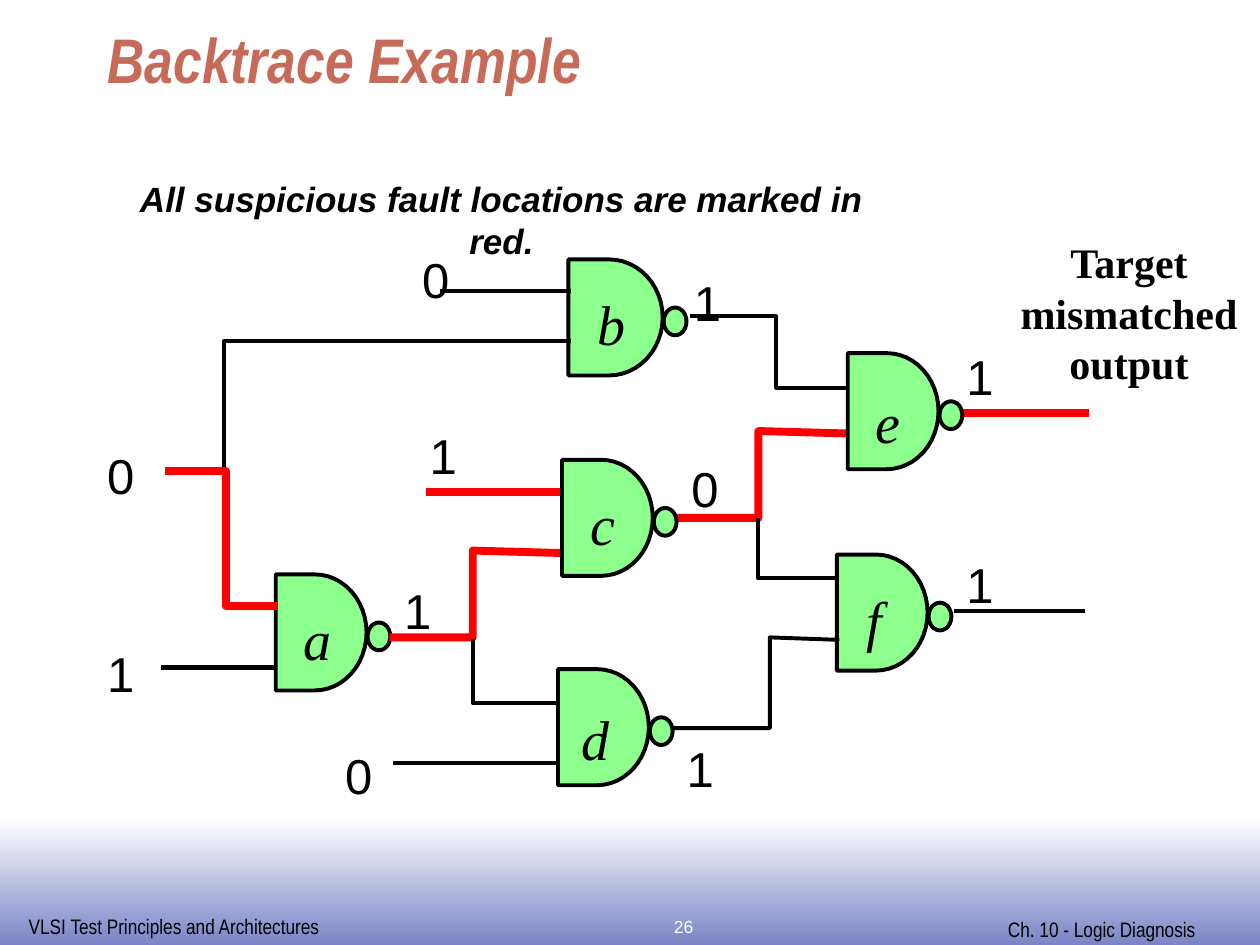
from dataclasses import dataclass
from math import cos, pi, sin

from lxml.etree import SubElement
from pptx import Presentation
from pptx.dml.color import RGBColor
from pptx.enum.shapes import MSO_CONNECTOR, MSO_SHAPE
from pptx.enum.text import MSO_ANCHOR, PP_ALIGN
from pptx.oxml.ns import qn
from pptx.util import Cm, Pt


@dataclass(frozen=True)
class Theme:
    """Colours, fonts and type sizes of the deck."""
    title: str = "C66B5A"
    ink: str = "000000"
    fault: str = "FF0000"
    gate: str = "8DFF8D"
    paper: str = "FFFFFF"
    band: str = "7B84C6"
    sans: str = "Arial"
    narrow: str = "Arial Narrow"
    serif: str = "Times New Roman"
    title_size: float = 36
    gate_size: float = 32
    value_size: float = 28
    note_size: float = 24
    caption_size: float = 20
    footer_size: float = 12
    number_size: float = 10
    thin: float = 2.25
    medium: float = 3
    thick: float = 4.5


@dataclass(frozen=True)
class Box:
    """A region in centimetres."""
    left: float
    top: float
    width: float
    height: float

    def inner(self, left, top, width, height):
        """Return a box placed relative to this one."""
        return Box(self.left + left, self.top + top, width, height)

    def point(self, x, y):
        """Return the slide position of a relative point."""
        return Cm(self.left + x), Cm(self.top + y)

    def frame(self):
        """Return left, top, width and height as lengths."""
        return Cm(self.left), Cm(self.top), Cm(self.width), Cm(self.height)


THEME = Theme()
LEFT, CENTER = PP_ALIGN.LEFT, PP_ALIGN.CENTER
GATES_BEHIND = [
    ("a", 5.56, 7.58, 1.83, (0.31, 0.49)),
    ("b", 11.46, 1.23, 1.9, (0.33, 0.49)),
    ("f", 16.87, 7.18, 1.83, (0.35, 0.5)),
    ("d", 11.25, 9.49, 1.83, (0.23, 0.58)),
]
GATES_FRONT = [
    ("e", 17.09, 3.12, 1.83, (0.31, 0.56)),
    ("c", 11.33, 5.27, 1.83, (0.33, 0.48)),
]
FAULT = (THEME.fault, THEME.thick)
GOOD = (THEME.ink, THEME.thin)
WIRES = [
    (FAULT, [(19.33, 4.33), (21.95, 4.33)]),
    (GOOD, [(19.23, 8.32), (21.87, 8.32)]),
    (FAULT, [(13.61, 6.44), (15.29, 6.44), (15.29, 4.69), (17.12, 4.74)]),
    (GOOD, [(15.29, 6.44), (15.29, 7.66), (16.92, 7.66)]),
    (GOOD, [(13.56, 10.68), (15.52, 10.68), (15.52, 8.85), (16.92, 8.9)]),
    (GOOD, [(8.86, 1.87), (11.51, 1.87)]),
    (GOOD, [(7.92, 11.39), (11.23, 11.39)]),
    (FAULT, [(7.85, 8.85), (9.53, 8.85), (9.53, 7.1), (11.35, 7.15)]),
    (GOOD, [(9.53, 8.88), (9.53, 10.17), (11.23, 10.17)]),
    (FAULT, [(8.59, 5.91), (11.43, 5.91)]),
    (GOOD, [(4.52, 5.6), (4.52, 2.88), (11.51, 2.88)]),
    ((THEME.ink, THEME.medium), [(3.25, 9.46), (5.59, 9.46)]),
    (FAULT, [(3.33, 5.5), (4.55, 5.5), (4.55, 8.22), (5.59, 8.22)]),
    (GOOD, [(13.92, 2.38), (15.65, 2.38), (15.65, 3.82), (17.2, 3.82)]),
]
VALUES = [
    ("1", 19.23, 2.86), ("1", 19.23, 7.05), ("1", 8.41, 4.46),
    ("0", 13.69, 5.12), ("1", 13.59, 10.76), ("0", 8.26, 0.9),
    ("0", 6.71, 10.91), ("1", 7.9, 7.58), ("1", 13.74, 1.36),
    ("0", 1.91, 4.86), ("1", 1.91, 8.85),
]


def style_text(frame, font, size, color=THEME.ink, align=LEFT, bold=False, italic=False):
    """Format every run of a text frame alike."""
    for para in frame.paragraphs:
        para.alignment = align
        for span in para.runs:
            span.font.name, span.font.size = font, Pt(size)
            span.font.bold, span.font.italic = bold, italic
            span.font.color.rgb = RGBColor.from_string(color)


def add_text(page, box, text, font, size, wrap=False, **style):
    """Add a text box with uniform formatting."""
    frame = page.shapes.add_textbox(*box.frame()).text_frame
    frame.word_wrap = wrap
    frame.text = text
    style_text(frame, font, size, **style)


def set_line(shape, color, width):
    """Set the colour and width of a line."""
    shape.line.color.rgb = RGBColor.from_string(color)
    shape.line.width = Pt(width)


def add_title(page, box):
    """Place and format the title placeholder."""
    title = page.shapes.title
    title.left, title.top, title.width, title.height = box.frame()
    frame = title.text_frame
    frame.text = "Backtrace Example"
    frame.vertical_anchor = MSO_ANCHOR.TOP
    frame.paragraphs[0].line_spacing = 0.8
    style_text(frame, THEME.narrow, THEME.title_size, THEME.title, bold=True, italic=True)


def add_footer(page, box):
    """Draw the shaded band with its three texts."""
    band = page.shapes.add_shape(MSO_SHAPE.RECTANGLE, *box.frame())
    band.shadow.inherit = False
    band.line.fill.background()
    band.fill.gradient()
    band.fill.gradient_angle = 270
    for stop, position, color in zip(band.fill.gradient_stops, (0, 1), (THEME.paper, THEME.band)):
        stop.position = position
        stop.color.rgb = RGBColor.from_string(color)
    add_text(page, box.inner(0.33, 1.78, 6.43, 0.76), "VLSI Test Principles and Architectures",
             THEME.narrow, THEME.footer_size, wrap=True)
    add_text(page, box.inner(20.07, 1.85, 4.98, 0.76), "Ch. 10 - Logic Diagnosis",
             THEME.narrow, THEME.footer_size, wrap=True)
    add_text(page, box.inner(10.82, 1.83, 5.92, 0.71), "26", THEME.sans, THEME.number_size,
             wrap=True, color=THEME.paper, align=CENTER)


def add_gate(page, box):
    """Draw one NAND gate as a group of bubble and body."""
    group = page.shapes.add_group_shape()
    bubble = group.shapes.add_shape(
        MSO_SHAPE.OVAL, *box.inner(box.width + 0.02, 0.97, 0.46, 0.56).frame())
    radius, flat, steps = box.height / 2, 0.43 * box.width, 24
    arc = [box.point(flat + (box.width - flat) * sin(pi * step / steps),
                     radius + radius * cos(pi * step / steps))
           for step in range(steps + 1)]
    outline = group.shapes.build_freeform(*box.point(0, 0))
    outline.add_line_segments([box.point(0, box.height), *arc], close=True)
    for part in (bubble, outline.convert_to_shape()):
        part.shadow.inherit = False
        part.fill.solid()
        part.fill.fore_color.rgb = RGBColor.from_string(THEME.gate)
        set_line(part, THEME.ink, THEME.thin)


def add_wire(page, points, color, width):
    """Draw a straight wire as a connector and a bent one as an open outline."""
    start, *rest = points
    if len(rest) == 1:
        wire = page.shapes.add_connector(MSO_CONNECTOR.STRAIGHT, *start, *rest[0])
        set_line(wire, color, width)
        SubElement(wire._element.spPr, qn("a:effectLst"))
        return
    route = page.shapes.build_freeform(*start)
    route.add_line_segments(rest, close=False)
    wire = route.convert_to_shape()
    wire.fill.background()
    set_line(wire, color, width)
    SubElement(wire._element.spPr.find(qn("a:ln")), qn("a:round"))
    wire.shadow.inherit = False


def add_circuit(page, box):
    """Draw the gates, wires, logic values and output note."""
    for name, left, top, width, offset in GATES_BEHIND:
        add_gate(page, box.inner(left, top, width, 2.34))
    for (color, weight), points in WIRES:
        add_wire(page, [box.point(x, y) for x, y in points], color, weight)
    for name, left, top, width, offset in GATES_FRONT:
        add_gate(page, box.inner(left, top, width, 2.34))
    for value, left, top in VALUES:
        add_text(page, box.inner(left, top, 1.04, 1.45), value,
                 THEME.sans, THEME.value_size, align=CENTER)
    for name, left, top, width, (right, down) in GATES_BEHIND + GATES_FRONT:
        add_text(page, box.inner(left + right, top + down, 1.04, 1.63), name,
                 THEME.serif, THEME.gate_size, italic=True)
    add_text(page, box.inner(20.32, 0.65, 4.88, 3.3), "Target\nmismatched\noutput",
             THEME.serif, THEME.note_size, align=CENTER, bold=True)


def main():
    """Build and save the deck."""
    deck = Presentation()
    deck.slide_width, deck.slide_height = Cm(25.4), Cm(19.05)
    page = deck.slides.add_slide(deck.slide_layouts[5])
    add_footer(page, Box(0, 16.51, 25.4, 2.54))
    add_title(page, Box(1.91, 0.58, 21.59, 2.54))
    add_circuit(page, Box(0, 4, 25.4, 12.4))
    add_text(page, Box(1.83, 3.45, 16.56, 1.12),
             "All suspicious fault locations are marked in red.",
             THEME.sans, THEME.caption_size, align=CENTER, bold=True, italic=True)
    deck.save("out.pptx")


if __name__ == "__main__":
    main()
